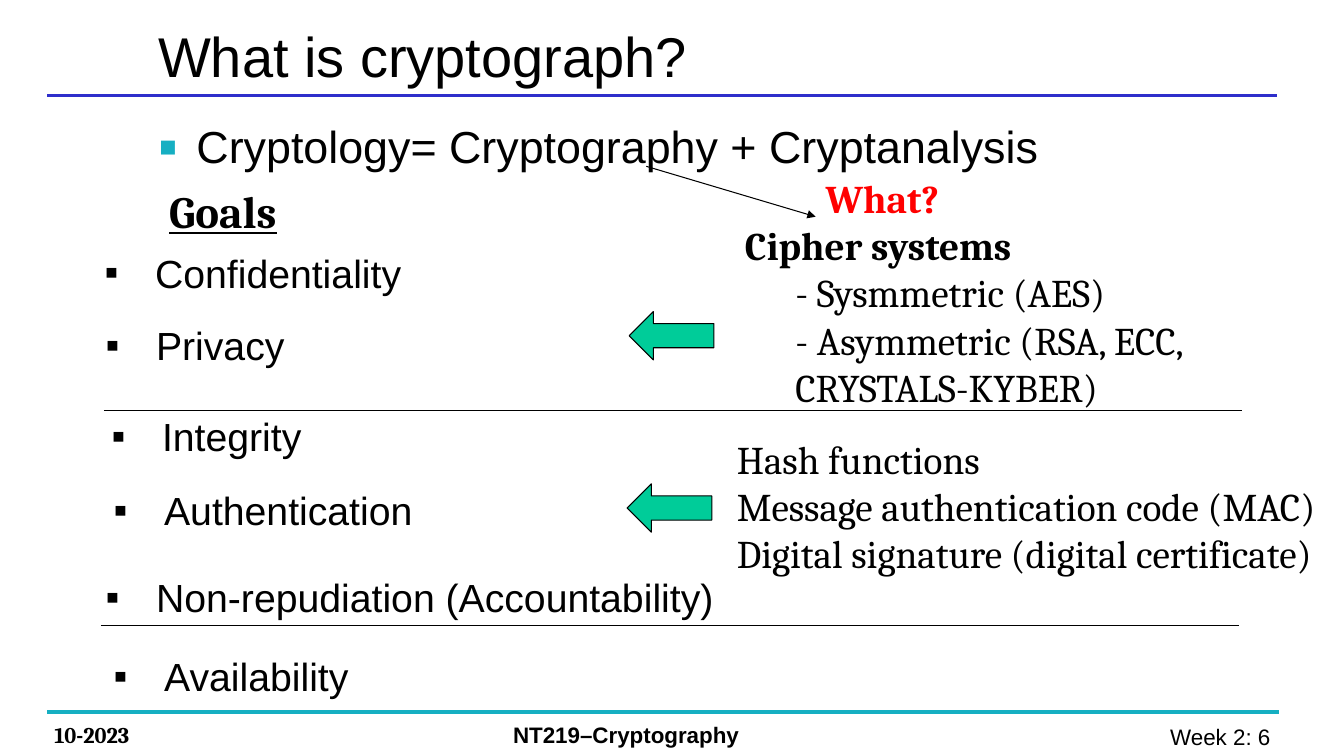
"""Build the slide on the goals and tools of cryptography."""
from lxml import etree
from pptx import Presentation
from pptx.dml.color import RGBColor
from pptx.enum.shapes import MSO_CONNECTOR, MSO_SHAPE
from pptx.enum.text import MSO_ANCHOR, PP_ALIGN
from pptx.oxml.ns import qn
from pptx.util import Inches, Pt

STRAIGHT = MSO_CONNECTOR.STRAIGHT
DOWN_ARROW = MSO_SHAPE.DOWN_ARROW
MIDDLE, TOP = MSO_ANCHOR.MIDDLE, MSO_ANCHOR.TOP
LEFT, RIGHT = PP_ALIGN.LEFT, PP_ALIGN.RIGHT

THEME = {
    "sans": "Arial", "serif": "Cambria",
    "ink": "000000", "alert": "FF0000", "arrow": "00CC99",
    "title_rule": "2E2ECB", "accent": "16AFC2",
    "title": 40, "head": 32, "text": 28, "footer": 16,
}

TITLE = ("What is cryptograph?", (1.47, 0.11, 7.28, 0.87))
TOPIC = ("Cryptology= Cryptography + Cryptanalysis", (1.47, 1.13, 8.97, 5.43))
GOALS_HEAD = ("Goals", (1.58, 1.77, 1.3, 0.64))
WHAT = ("What?", (8.09, 1.68, 1.34, 0.57))
GOALS = [
    ("Confidentiality", 0.94, 2.42),
    ("Privacy", 0.95, 3.14),
    ("Integrity", 1.01, 4.04),
    ("Authentication", 1.03, 4.78),
    ("Non-repudiation (Accountability)", 0.95, 5.64),
    ("Availability", 1.03, 6.42),
]
GOAL_SIZE = (6.33, 0.57)
CIPHERS = (["Cipher systems", "- Sysmmetric (AES)",
            "- Asymmetric (RSA, ECC, CRYSTALS-KYBER)"], (7.29, 2.15, 5.95, 1.99))
INTEGRITY_TOOLS = (["Hash functions", "Message authentication code (MAC)",
                    "Digital signature (digital certificate)"], (7.21, 4.27, 6.33, 1.51))
FOOTERS = [
    ("10-2023", (0.44, 7.11, 1.78, 0.37), "serif", True, LEFT),
    ("NT219–Cryptography", (4.99, 7.11, 4.83, 0.37), "sans", True, LEFT),
    ("Week 2: 6 ", (9.82, 7.12, 2.94, 0.37), "sans", False, RIGHT),
]
RULES = [
    ((0.47, 0.95), (12.67, 0.95), "title_rule", 2.25),
    ((0.47, 7.06), (12.69, 7.06), "accent", 3),
    ((1.03, 4.07), (12.32, 4.07), "ink", 0.75),
    ((1, 6.21), (12.29, 6.21), "ink", 0.75),
]
WHAT_POINTER = ((6.41, 1.65), (8.09, 2.15), "ink", 0.75)
ARROWS = [(6.42, 2.91), (6.4, 4.62)]
ARROW_SIZE = (0.48, 0.84)


def color(name):
    return RGBColor.from_string(THEME[name])


def add_text(s, lines, box, size, font="sans", bold=False, ink="ink",
             align=LEFT, anchor=TOP):
    tf = s.shapes.add_textbox(*map(Inches, box)).text_frame
    tf.word_wrap = True
    tf.vertical_anchor = anchor
    tf.text = lines if isinstance(lines, str) else "\n".join(lines)
    for p in tf.paragraphs:
        p.alignment = align
        for r in p.runs:
            r.font.name = THEME[font]
            r.font.size = Pt(THEME[size])
            r.font.bold = bold
            r.font.color.rgb = color(ink)
    return tf


def set_indent(p, left, first=0):
    pPr = p._p.get_or_add_pPr()
    pPr.set("marL", str(Inches(left)))
    pPr.set("indent", str(Inches(first)))
    return pPr


def add_bullet(p, hang, ink="ink", percent=100, before=0):
    pPr = set_indent(p, hang, -hang)
    spacing = etree.SubElement(pPr, qn("a:spcBef"))
    etree.SubElement(spacing, qn("a:spcPct"), val=str(before * 1000))
    fill = etree.SubElement(pPr, qn("a:buClr"))
    etree.SubElement(fill, qn("a:srgbClr"), val=THEME[ink])
    etree.SubElement(pPr, qn("a:buSzPct"), val=str(percent * 1000))
    etree.SubElement(pPr, qn("a:buFont"), typeface=THEME["sans"])
    etree.SubElement(pPr, qn("a:buChar"), char="▪")


def add_line(s, start, end, ink, width):
    line = s.shapes.add_connector(STRAIGHT, *map(Inches, start + end))
    line.line.color.rgb = color(ink)
    line.line.width = Pt(width)
    etree.SubElement(line._element.spPr, qn("a:effectLst"))
    return line


def add_arrow(s, left, top):
    sp = s.shapes.add_shape(DOWN_ARROW, *map(Inches, (left, top) + ARROW_SIZE))
    sp.rotation = 90
    sp.shadow.inherit = False
    sp.fill.solid()
    sp.fill.fore_color.rgb = color("arrow")
    sp.line.color.rgb = color("ink")
    sp.line.width = Pt(0.75)


def main():
    prs = Presentation()
    prs.slide_width, prs.slide_height = Inches(13.33), Inches(7.5)
    s = prs.slides.add_slide(prs.slide_layouts[6])

    for rule in RULES:
        add_line(s, *rule)
    for text, box, font, bold, align in FOOTERS:
        add_text(s, text, box, "footer", font, bold, align=align)

    add_text(s, *TITLE, "title", anchor=MIDDLE)
    topic = add_text(s, *TOPIC, "head")
    add_bullet(topic.paragraphs[0], 0.38, "accent", percent=125, before=25)

    pointer = add_line(s, *WHAT_POINTER)
    etree.SubElement(pointer.line._get_or_add_ln(), qn("a:tailEnd"), type="triangle")

    goals = add_text(s, *GOALS_HEAD, "head", "serif", True)
    goals.paragraphs[0].runs[0].font.underline = True
    for text, left, top in GOALS:
        tf = add_text(s, text, (left, top) + GOAL_SIZE, "text")
        add_bullet(tf.paragraphs[0], 0.5)

    heading, *kinds = add_text(s, *CIPHERS, "text", "serif").paragraphs
    heading.runs[0].font.bold = True
    for p in kinds:
        p.level = 1
        set_indent(p, 0.5)
    add_text(s, *INTEGRITY_TOOLS, "text", "serif")
    add_text(s, *WHAT, "text", "serif", True, "alert")

    for left, top in ARROWS:
        add_arrow(s, left, top)
    prs.save("out.pptx")


if __name__ == "__main__":
    main()
